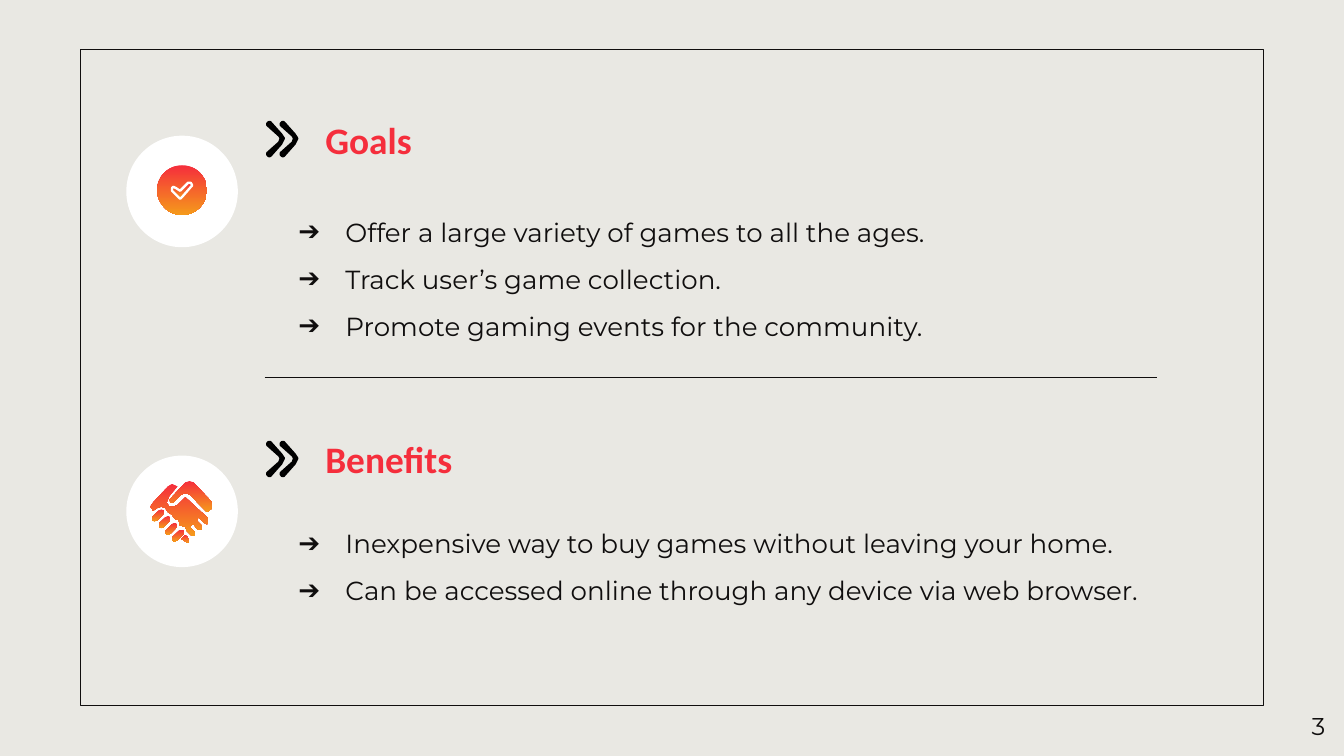
from lxml.etree import SubElement
from pptx import Presentation
from pptx.dml.color import RGBColor
from pptx.enum.shapes import MSO_CONNECTOR, MSO_SHAPE
from pptx.enum.text import MSO_ANCHOR, MSO_AUTO_SIZE, PP_ALIGN
from pptx.oxml.ns import qn
from pptx.util import Inches, Pt

INK, RED, ORANGE = "100E0E", "F52E3C", "F59A1B"
SECTION_LEFT, SECTION_RIGHT = 1.97, 8.61
SECTION_TOPS = (0.72, 3.1)
HEADINGS = (("Goals", 1.34), ("Benefits", 1.76))
LISTS = (
    ((1.36, 6.52, 1.54), [
        "Offer a large variety of games to all the ages.",
        "Track user’s game collection.",
        "Promote gaming events for the community.",
    ]),
    ((3.8, 6.64, 0.95), [
        "Inexpensive way to buy games without leaving your home.",
        "Can be accessed online through any device via web browser.",
    ]),
)

# Outlines in hundredths of an inch from the icon's top left corner
CHEVRON = [(1, 0), (0, 1), (0, 2), (9, 10), (10, 12), (9, 15), (0, 23),
           (0, 24), (1, 25), (2, 25), (10, 16), (12, 12), (10, 9), (2, 0)]
TICK = [(11, 17), (12, 16), (14, 17), (17, 19), (23, 13), (25, 13),
        (26, 15), (19, 23), (17, 25), (15, 23), (11, 19)]
FINGER = [(7, 0), (9, 1), (9, 3), (4, 8), (2, 9), (0, 8), (0, 6), (5, 1)]
FINGERTIP = [(26, 40), (23, 43), (26, 45), (28, 46), (29, 45), (29, 43)]
FRONT_HAND = [
    (16, 2), (13, 4), (2, 16), (0, 19), (2, 22), (5, 20), (8, 19), (11, 20),
    (13, 23), (16, 25), (18, 28), (21, 29), (22, 33), (26, 34), (27, 37),
    (31, 41), (33, 41), (33, 38), (30, 35), (30, 33), (32, 32), (35, 36),
    (38, 36), (38, 33), (35, 30), (35, 28), (36, 27), (40, 31), (42, 32),
    (43, 31), (43, 28), (41, 26), (27, 13), (26, 12), (25, 13), (20, 18),
    (17, 19), (14, 19), (12, 16), (14, 11), (20, 4)]
BACK_HAND = [
    (29, 0), (26, 1), (15, 13), (14, 14), (15, 16), (17, 16), (18, 15),
    (23, 10), (26, 9), (29, 10), (42, 23), (45, 21), (46, 18), (45, 15),
    (32, 1)]


def color(hex_value):
    return RGBColor.from_string(hex_value)


def style(shape, fill=None, line=None, width=0.75):
    """Fill with one colour, a top-down gradient (pair of colours) or nothing."""
    shape.shadow.inherit = False
    if fill is None:
        shape.fill.background()
    elif isinstance(fill, tuple):
        shape.fill.gradient()
        shape.fill.gradient_angle = 270
        for stop, hex_value in zip(shape.fill.gradient_stops, fill):
            stop.color.rgb = color(hex_value)
    else:
        shape.fill.solid()
        shape.fill.fore_color.rgb = color(fill)
    if line:
        shape.line.color.rgb = color(line)
        shape.line.width = Pt(width)
    else:
        shape.line.fill.background()


def place(shape, left, top, width, height):
    shape.left, shape.top = Inches(left), Inches(top)
    shape.width, shape.height = Inches(width), Inches(height)


def add_preset(slide, kind, box, **look):
    style(slide.shapes.add_shape(kind, *map(Inches, box)), **look)


def add_outline(slide, points, left, top, **look):
    builder = slide.shapes.build_freeform(*points[0], scale=Inches(0.01))
    builder.add_line_segments(points[1:])
    style(builder.convert_to_shape(Inches(left), Inches(top)), **look)


def set_font(paragraph, name, size, hex_value, bold=False):
    font = paragraph.font
    font.name, font.size, font.bold = name, Pt(size), bold
    font.color.rgb = color(hex_value)


def prepare_frame(shape, top=0.1, bottom=0.1, anchor=MSO_ANCHOR.MIDDLE):
    frame = shape.text_frame
    frame.word_wrap = True
    frame.auto_size = MSO_AUTO_SIZE.NONE
    frame.vertical_anchor = anchor
    frame.margin_left = frame.margin_right = Inches(0.1)
    frame.margin_top, frame.margin_bottom = Inches(top), Inches(bottom)
    return frame


def fill_heading(placeholder, text, top, width):
    place(placeholder, 2.32, top, width, 0.63)
    frame = prepare_frame(placeholder)
    frame.text = text
    paragraph = frame.paragraphs[0]
    paragraph.space_before = Pt(0)
    set_font(paragraph, "Calibri", 20, RED, bold=True)


def fill_list(placeholder, items, top, width, height):
    place(placeholder, SECTION_LEFT, top, width, height)
    frame = prepare_frame(placeholder, top=0, bottom=0.23)
    frame.text = "\n".join(items)
    for paragraph in frame.paragraphs:
        paragraph.line_spacing = 1.5
        paragraph.space_before = Pt(0)
        properties = paragraph._p.get_or_add_pPr()
        properties.set("marL", str(Inches(0.5)))
        properties.set("indent", str(Inches(-0.35)))
        SubElement(properties, qn("a:buChar")).set("char", "➔")
        set_font(paragraph, "Montserrat", 14, INK)


def add_section_marks(slide, top):
    """Double chevron and white disc beside a section heading."""
    for left in (SECTION_LEFT + 0.12, SECTION_LEFT + 0.02):
        add_outline(slide, CHEVRON, left, top + 0.19, fill=INK, line="000000", width=1.5)
    add_preset(slide, MSO_SHAPE.OVAL, (0.94, top + 0.29, 0.83, 0.83), fill="FFFFFF")


def add_check_icon(slide, left, top):
    add_preset(slide, MSO_SHAPE.OVAL, (left, top, 0.37, 0.37), fill=(RED, ORANGE))
    add_outline(slide, TICK, left, top, fill=(RED, ORANGE), line="FFFFFF", width=1.25)


def add_handshake_icon(slide, left, top):
    for finger in range(4):
        add_outline(slide, FINGER, left + 0.01 + 0.05 * finger,
                    top + 0.21 + 0.05 * finger, fill=(RED, ORANGE))
    for points in (FINGERTIP, FRONT_HAND, BACK_HAND):
        add_outline(slide, points, left, top, fill=(RED, ORANGE))


def add_divider(slide, top):
    line = slide.shapes.add_connector(
        MSO_CONNECTOR.STRAIGHT, Inches(SECTION_LEFT), Inches(top),
        Inches(SECTION_RIGHT), Inches(top))
    line.line.color.rgb = color(INK)
    line.line.width = Pt(0.75)
    SubElement(line._element.spPr, qn("a:effectLst"))


def add_page_number(slide, number):
    box = slide.shapes.add_textbox(*map(Inches, (9.36, 5.19, 0.6, 0.43)))
    frame = prepare_frame(box, anchor=MSO_ANCHOR.TOP)
    frame.text = number
    frame.paragraphs[0].alignment = PP_ALIGN.RIGHT
    set_font(frame.paragraphs[0], "Montserrat", 13, INK)


def main():
    presentation = Presentation()
    presentation.slide_width = Inches(10)
    presentation.slide_height = presentation.slide_width * 9 // 16
    comparison_layout = presentation.slide_layouts[4]
    slide = presentation.slides.add_slide(comparison_layout)
    slide.background.fill.solid()
    slide.background.fill.fore_color.rgb = color("E9E8E3")

    title, *bodies = slide.placeholders
    title._element.getparent().remove(title._element)
    add_preset(slide, MSO_SHAPE.RECTANGLE, (0.6, 0.37, 8.8, 4.88), line=INK)
    for top, (text, width), heading in zip(SECTION_TOPS, HEADINGS, bodies[::2]):
        fill_heading(heading, text, top, width)
        add_section_marks(slide, top)
    for (box, items), body in zip(LISTS, bodies[1::2]):
        fill_list(body, items, *box)

    add_divider(slide, 2.81)
    add_check_icon(slide, 1.17, 1.23)
    add_handshake_icon(slide, 1.12, 3.58)
    add_page_number(slide, "3")
    presentation.save("out.pptx")


if __name__ == "__main__":
    main()
